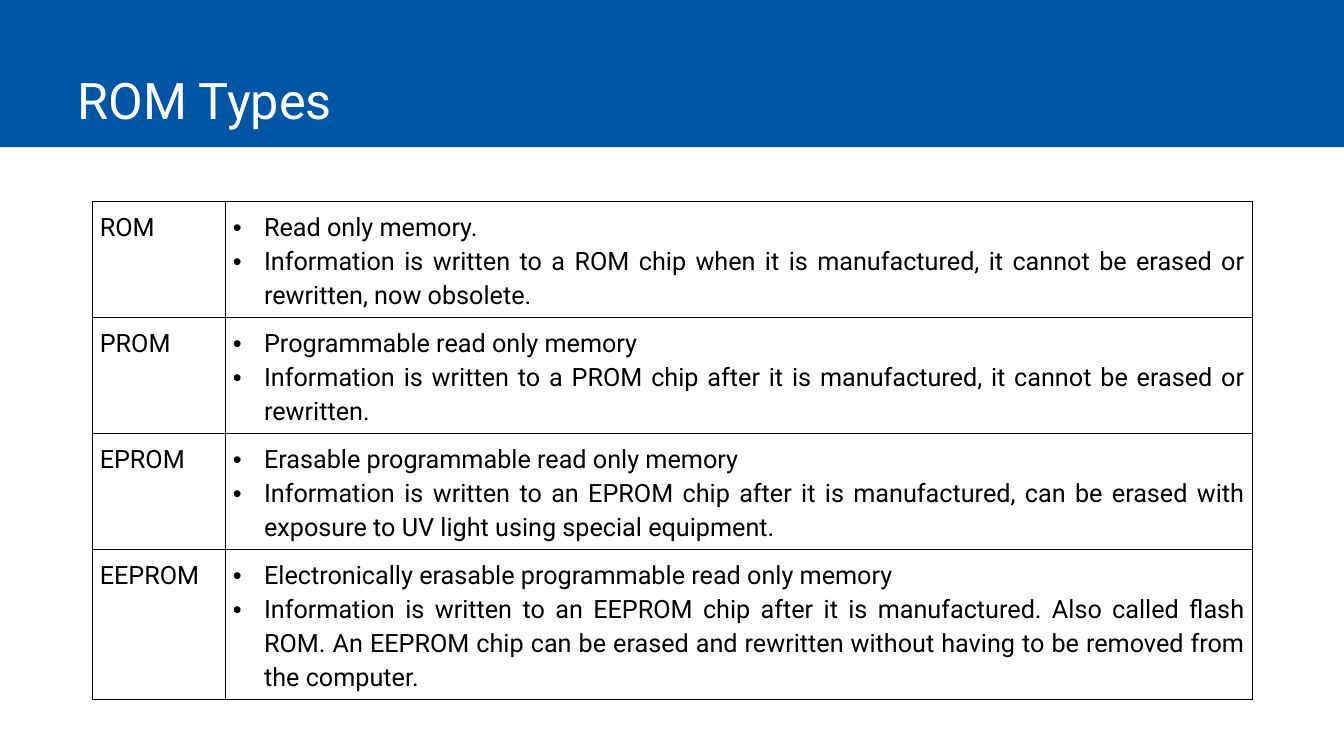
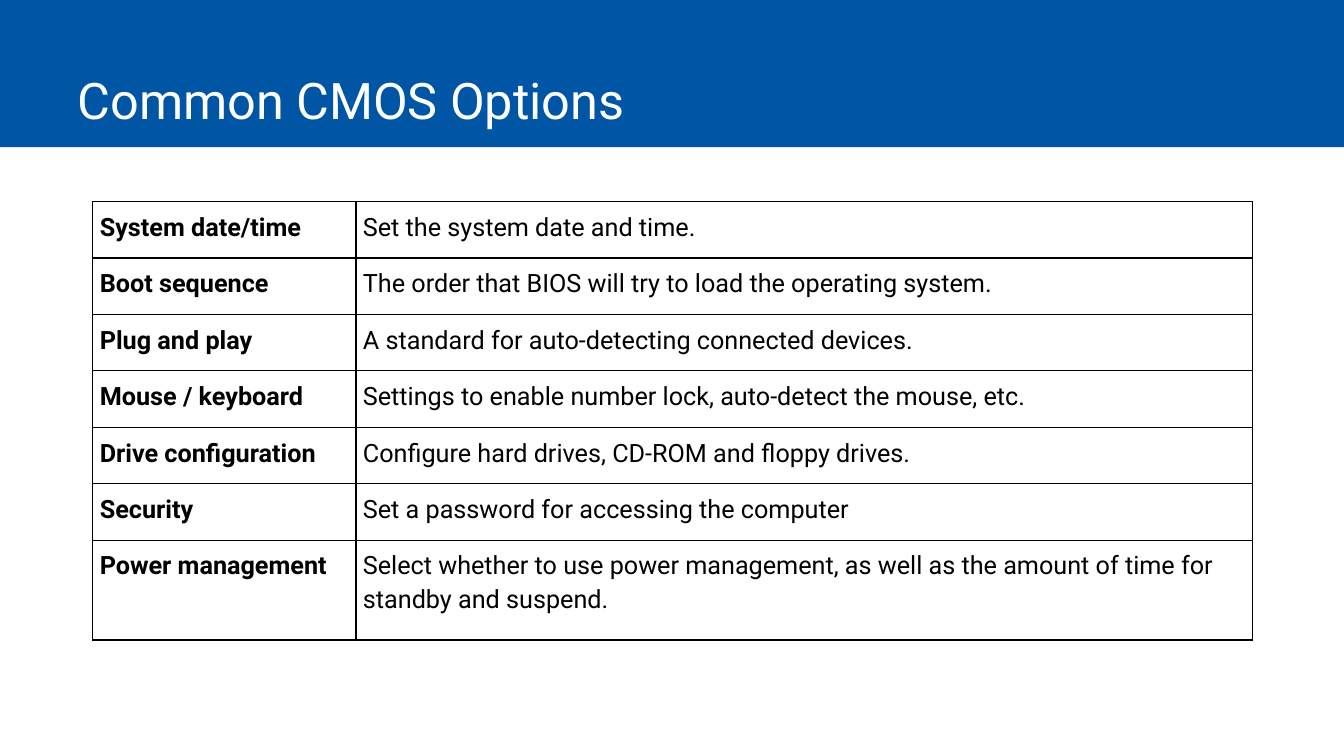
from lxml import etree
from pptx import Presentation
from pptx.dml.color import RGBColor
from pptx.enum import shapes, text
from pptx.oxml import ns
from pptx.util import Inches, Pt

BLUE = RGBColor(0x00, 0x55, 0xA4)
WHITE = RGBColor(0xFF, 0xFF, 0xFF)
BLACK = RGBColor(0x00, 0x00, 0x00)
FONT = "Roboto"
SLIDE_WIDTH, SLIDE_HEIGHT = 13.33, 7.5
BAND_HEIGHT = 1.46
TITLE_BOX = (0.67, 0, 11.75, 1.34)
TABLE_LEFT, TABLE_TOP = 0.92, 2
CELL_MARGIN = 0.07
BULLET_INDENT = 0.31

ROM_TYPES = [
    ("ROM", ["Read only memory.",
             "Information is written to a ROM chip when it is manufactured, "
             "it cannot be erased or rewritten, now obsolete."]),
    ("PROM", ["Programmable read only memory",
              "Information is written to a PROM chip after it is manufactured, "
              "it cannot be erased or rewritten."]),
    ("EPROM", ["Erasable programmable read only memory",
               "Information is written to an EPROM chip after it is manufactured, "
               "can be erased with exposure to UV light using special equipment."]),
    ("EEPROM", ["Electronically erasable programmable read only memory",
                "Information is written to an EEPROM chip after it is manufactured. "
                "Also called flash ROM. An EEPROM chip can be erased and rewritten "
                "without having to be removed from the computer."]),
]
CMOS_OPTIONS = [
    ("System date/time", ["Set the system date and time."]),
    ("Boot sequence", ["The order that BIOS will try to load the operating system."]),
    ("Plug and play", ["A standard for auto-detecting connected devices."]),
    ("Mouse / keyboard", ["Settings to enable number lock, auto-detect the mouse, etc."]),
    ("Drive configuration", ["Configure hard drives, CD-ROM and floppy drives."]),
    ("Security", ["Set a password for accessing the computer"]),
    ("Power management", ["Select whether to use power management, as well as the "
                          "amount of time for standby and suspend."]),
]


def add_element(parent, tag, **attributes):
    """Append a DrawingML element to the parent and return it."""
    return etree.SubElement(parent, ns.qn(tag), attributes)


def style_font(font, size, color, bold=False):
    """Apply the deck's typeface with the given size, colour and weight."""
    font.name = FONT
    font.size = Pt(size)
    font.bold = bold
    font.color.rgb = color


def add_band(slide):
    """Put the blue title band on the layout that the slide uses."""
    band = slide.shapes.add_shape(shapes.MSO_SHAPE.RECTANGLE, 0, 0,
                                  Inches(SLIDE_WIDTH), Inches(BAND_HEIGHT))
    band.shadow.inherit = False
    band.fill.solid()
    band.fill.fore_color.rgb = BLUE
    band.line.fill.background()
    slide.slide_layout.shapes.element.insert(2, band.element)


def set_title(slide, wording, box):
    """Place and fill the title placeholder."""
    title = slide.shapes.title
    title.left, title.top, title.width, title.height = map(Inches, box)
    frame = title.text_frame
    frame.text = wording
    frame.word_wrap = True
    frame.auto_size = text.MSO_AUTO_SIZE.NONE
    frame.vertical_anchor = text.MSO_ANCHOR.BOTTOM
    paragraph = frame.paragraphs[0]
    paragraph.alignment = text.PP_ALIGN.LEFT
    style_font(paragraph.runs[0].font, 36, WHITE)


def add_bullet(paragraph):
    """Give the paragraph a hanging round bullet."""
    properties = paragraph._p.get_or_add_pPr()
    properties.set("marL", str(Inches(BULLET_INDENT)))
    properties.set("indent", str(-Inches(BULLET_INDENT)))
    color = add_element(properties, "a:buClr")
    add_element(color, "a:srgbClr", val=str(BLACK))
    add_element(properties, "a:buFont", typeface="Arial")
    add_element(properties, "a:buChar", char="•")


def add_borders(cell):
    """Draw a thin black line on all four sides of the cell."""
    properties = cell._tc.get_or_add_tcPr()
    for position, side in enumerate(("a:lnL", "a:lnR", "a:lnT", "a:lnB")):
        line = add_element(properties, side, w=str(Pt(1)))
        fill = add_element(line, "a:solidFill")
        add_element(fill, "a:srgbClr", val=str(BLACK))
        properties.insert(position, line)


def fill_cell(cell, lines, alignment, bold=False, bullets=False):
    """Write one paragraph per line and format the cell."""
    cell.margin_left = cell.margin_right = Inches(CELL_MARGIN)
    cell.margin_top = cell.margin_bottom = Inches(CELL_MARGIN)
    cell.fill.background()
    add_borders(cell)
    cell.text_frame.text = "\n".join(lines)
    for paragraph in cell.text_frame.paragraphs:
        paragraph.alignment = alignment
        paragraph.line_spacing = 1.15
        style_font(paragraph.runs[0].font, 18, BLACK, bold)
        if bullets:
            add_bullet(paragraph)


def add_definitions(slide, left, top, entries, widths, heights,
                    alignment, bold_terms=False, bullets=False):
    """Add a two-column table of terms and their descriptions."""
    table = slide.shapes.add_table(
        len(entries), 2, Inches(left), Inches(top),
        Inches(sum(widths)), Inches(sum(heights))).table
    table.first_row = table.horz_banding = False
    for column, width in zip(table.columns, widths):
        column.width = Inches(width)
    for row, height, (term, lines) in zip(table.rows, heights, entries):
        row.height = Inches(height)
        fill_cell(row.cells[0], [term], alignment, bold=bold_terms)
        fill_cell(row.cells[1], lines, alignment, bullets=bullets)


def main():
    """Build and save the two slides."""
    presentation = Presentation()
    presentation.slide_width = Inches(SLIDE_WIDTH)
    presentation.slide_height = Inches(SLIDE_HEIGHT)
    layout = presentation.slide_layouts[5]

    rom_slide = presentation.slides.add_slide(layout)
    add_band(rom_slide)
    set_title(rom_slide, "ROM Types", TITLE_BOX)
    add_definitions(rom_slide, TABLE_LEFT, TABLE_TOP, ROM_TYPES,
                    (1.32, 10.18), [1.15] * 3 + [1.48],
                    text.PP_ALIGN.JUSTIFY, bullets=True)

    cmos_slide = presentation.slides.add_slide(layout)
    set_title(cmos_slide, "Common CMOS Options", TITLE_BOX)
    add_definitions(cmos_slide, TABLE_LEFT, TABLE_TOP, CMOS_OPTIONS,
                    (2.61, 8.89), [0.56] * 6 + [0.99],
                    text.PP_ALIGN.LEFT, bold_terms=True)

    presentation.save("out.pptx")


if __name__ == "__main__":
    main()
